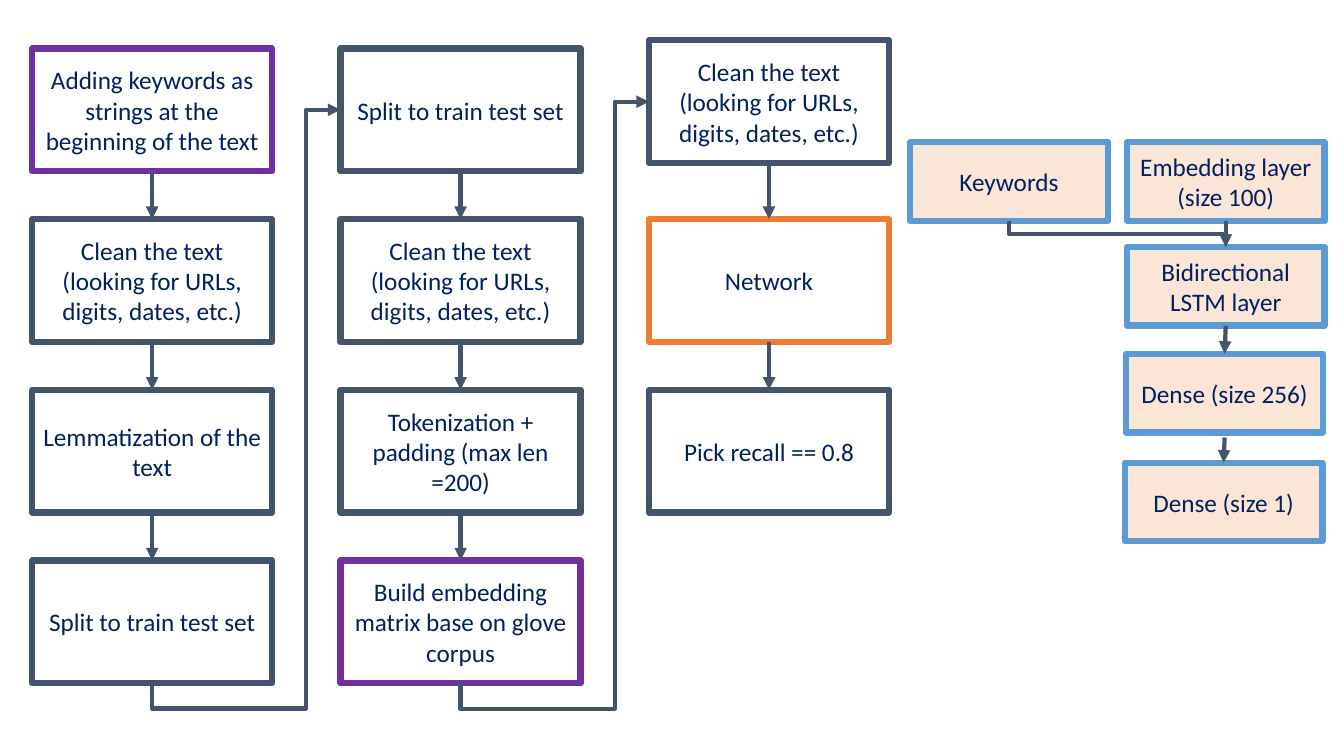
import pptx
import pptx.util
import pptx.dml.color
import pptx.enum.shapes
import pptx.enum.text
import pptx.oxml
import pptx.oxml.ns

Pt = pptx.util.Pt
qn = pptx.oxml.ns.qn
KIND = pptx.enum.shapes.MSO_CONNECTOR
NAVY, SLATE, PURPLE, ORANGE = "002060", "44546A", "7030A0", "ED7D31"
BLUE, PEACH, WHITE = "5B9BD5", "FBE5D6", "FFFFFF"
CLEAN = "Clean the text (looking for URLs, digits, dates, etc.)"
SPLIT = "Split to train test set"
STEPS = [
    [("Adding keywords as strings at the beginning of the text", PURPLE),
     (CLEAN, SLATE), ("Lemmatization of the text", SLATE), (SPLIT, SLATE)],
    [(SPLIT, SLATE), (CLEAN, SLATE),
     ("Tokenization + padding (max len =200)", SLATE),
     ("Build embedding matrix base on glove corpus", PURPLE)],
    [(CLEAN, SLATE), ("Network", ORANGE), ("Pick recall == 0.8", SLATE)],
]
LAYERS = [
    ("Embedding layer (size 100)", 805, 101.5),
    ("Bidirectional LSTM layer", 805, 176.4),
    ("Dense (size 256)", 804.2, 252.7),
    ("Dense (size 1)", 803.5, 330.5),
]


def color(text):
    return pptx.dml.color.RGBColor.from_string(text)


def box(slide, text, left, top, size, fill, edge):
    shape = slide.shapes.add_shape(
        pptx.enum.shapes.MSO_SHAPE.RECTANGLE,
        Pt(left), Pt(top), Pt(size[0]), Pt(size[1]))
    shape.shadow.inherit = False
    shape.fill.solid()
    shape.fill.fore_color.rgb = color(fill)
    shape.line.color.rgb = color(edge)
    shape.line.width = Pt(4.5)
    frame = shape.text_frame
    frame.word_wrap = True
    frame.vertical_anchor = pptx.enum.text.MSO_ANCHOR.MIDDLE
    para = frame.paragraphs[0]
    para.text = text
    para.alignment = pptx.enum.text.PP_ALIGN.CENTER
    para.font.name = "Calibri"
    para.font.size = Pt(18)
    para.font.color.rgb = color(NAVY)
    return shape


def step(slide, text, left, top, edge):
    return box(slide, text, left, top, (171.4, 87.8), WHITE, edge)


def layer(slide, text, left, top):
    return box(slide, text, left, top, (141.1, 56.2), PEACH, BLUE)


def link(slide, start, end, kind=KIND.STRAIGHT, site=0):
    line = slide.shapes.add_connector(kind, 0, 0, 0, 0)
    line.begin_connect(start, 2)
    line.end_connect(end, site)
    line.line.color.rgb = color(SLATE)
    line.line.width = Pt(3)
    props = line.element.spPr
    tail = pptx.oxml.parse_xml(
        '<a:tailEnd xmlns:a="http://schemas.openxmlformats.org/'
        'drawingml/2006/main" type="triangle"/>')
    props.find(qn("a:ln")).append(tail)
    props.append(props.makeelement(qn("a:effectLst"), {}))
    return line


def bend(slide, start, end, site, preset, turn, flip, ratios):
    line = link(slide, start, end, KIND.ELBOW, site)
    wide = abs(line.end_y - line.begin_y)
    high = abs(line.end_x - line.begin_x)
    left = (line.begin_x + line.end_x - wide) // 2
    top = (line.begin_y + line.end_y - high) // 2
    line.left, line.top, line.width, line.height = left, top, wide, high
    props = line.element.spPr
    frame = props.find(qn("a:xfrm"))
    frame.set("rot", str(turn * 60000))
    frame.set("flipH", "1")
    frame.set("flipV", flip)
    shape = props.find(qn("a:prstGeom"))
    shape.set("prst", preset)
    guides = shape.find(qn("a:avLst"))
    for index, ratio in enumerate(ratios, 1):
        guide = guides.makeelement(qn("a:gd"), {
            "name": f"adj{index}", "fmla": f"val {round(ratio * 100000)}"})
        guides.append(guide)


def chain(slide, boxes):
    return [link(slide, *pair) for pair in zip(boxes, boxes[1:])]


def main():
    deck = pptx.Presentation()
    deck.slide_width, deck.slide_height = Pt(960), Pt(540)
    slide = deck.slides.add_slide(deck.slide_layouts[6])

    lanes = []
    for col, steps in enumerate(STEPS):
        lane = []
        for row, (text, edge) in enumerate(steps):
            top = 28.8 if (col, row) == (2, 0) else 34.6 + 121.9 * row
            lane.append(step(slide, text, 23 + 220.3 * col, top, edge))
        chain(slide, lane)
        lanes.append(lane)
    for lane, after in zip(lanes, lanes[1:]):
        bend(slide, lane[-1], after[0], 1, "bentConnector4", 90, "1",
             (-0.044, 0.818))

    layers = [layer(slide, *item) for item in LAYERS]
    chain(slide, layers)[-1].begin_y = Pt(312.5)
    words = layer(slide, "Keywords", 650.2, 101.5)
    bend(slide, words, layers[1], 0, "bentConnector3", 270, "0", (0.5,))
    deck.save("out.pptx")


if __name__ == "__main__":
    main()
